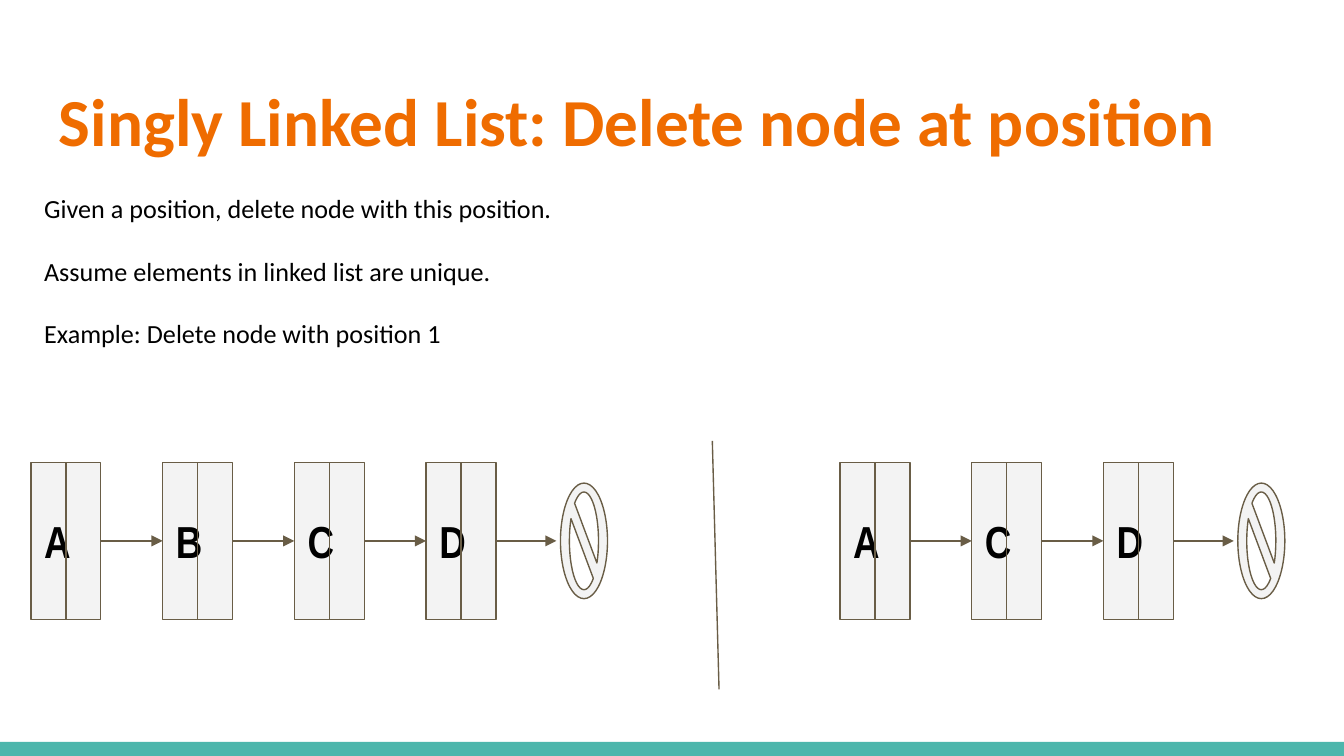
from lxml import etree
from pptx import Presentation
from pptx.dml.color import RGBColor
from pptx.enum.shapes import MSO_CONNECTOR as Connector, MSO_SHAPE as Shape
from pptx.enum.text import MSO_ANCHOR as Anchor, PP_ALIGN as Align
from pptx.oxml.ns import qn
from pptx.util import Inches, Pt

TITLE = "Singly Linked List: Delete node at position"
BODY = [
    "Given a position, delete node with this position.",
    "Assume elements in linked list are unique.",
    "Example: Delete node with position 1",
]
LISTS = [(0.23, "ABCD"), (6.25, "ACD")]

TITLE_FONT = {"name": "Calibri", "size": Pt(36), "bold": True}
BODY_FONT = {"name": "Calibri", "size": Pt(14)}
NODE_FONT = {"name": "Arial Narrow", "size": Pt(24), "bold": True}
MARGINS = {f"margin_{side}": Inches(0.1) for side in ("left", "top", "right", "bottom")}

ORANGE, BLACK, GRAY, BROWN, TEAL = "EF6C00", "000000", "F3F3F3", "695D46", "4DB6AC"
SLIDE_WIDTH = 10
SLIDE_HEIGHT = SLIDE_WIDTH * 9 / 16
NODE_TOP, NODE_WIDTH, NODE_HEIGHT, PITCH = 3.44, 0.52, 1.17, 0.98
NULL_WIDTH, NULL_HEIGHT, NULL_GAP = 0.35, 0.86, 0.02
MIDDLE = NODE_TOP + NODE_HEIGHT / 2


def set_all(target, values):
    for name, value in values.items():
        setattr(target, name, value)


def color(value):
    return RGBColor.from_string(value)


def write(shape, lines, font, text_color, anchor, gap=0):
    frame = shape.text_frame
    set_all(frame, MARGINS | {"word_wrap": True, "vertical_anchor": anchor})
    for index, line in enumerate(lines):
        paragraph = frame.add_paragraph() if index else frame.paragraphs[0]
        paragraph.alignment = Align.LEFT
        paragraph.space_before = Pt(gap if index else 0)
        run = paragraph.add_run()
        run.text = line
        set_all(run.font, font)
        run.font.color.rgb = color(text_color)


def add_text(slide, box, *text):
    write(slide.shapes.add_textbox(*map(Inches, box)), *text)


def add_shape(slide, kind, box, fill, line=None):
    shape = slide.shapes.add_shape(kind, *map(Inches, box))
    shape.shadow.inherit = False
    shape.fill.solid()
    shape.fill.fore_color.rgb = color(fill)
    if line:
        shape.line.color.rgb = color(line)
        shape.line.width = Pt(0.75)
    else:
        shape.line.fill.background()
    return shape


def add_line(slide, start, end, arrow=False):
    line = slide.shapes.add_connector(Connector.STRAIGHT, *map(Inches, start + end))
    line.line.color.rgb = color(BROWN)
    line.line.width = Pt(0.75)
    if arrow:
        outline = line._element.spPr.find(qn("a:ln"))
        etree.SubElement(outline, qn("a:tailEnd"), type="triangle")
    etree.SubElement(line._element.spPr, qn("a:effectLst"))
    return line


def add_node(slide, left, letter):
    box = (left, NODE_TOP, NODE_WIDTH, NODE_HEIGHT)
    node = add_shape(slide, Shape.RECTANGLE, box, GRAY, BROWN)
    write(node, [letter], NODE_FONT, BLACK, Anchor.MIDDLE)
    center = left + NODE_WIDTH / 2
    split = add_line(slide, (center, NODE_TOP), (center, NODE_TOP + NODE_HEIGHT))
    split.begin_connect(node, 0)
    split.end_connect(node, 2)
    return node


def add_linked_list(slide, left, letters):
    lefts = [left + index * PITCH for index in range(len(letters) + 1)]
    nodes = [add_node(slide, x, letter) for x, letter in zip(lefts, letters)]
    for index, node in enumerate(nodes):
        start = (lefts[index] + NODE_WIDTH, MIDDLE)
        arrow = add_line(slide, start, (lefts[index + 1] - 0.01, MIDDLE), arrow=True)
        arrow.begin_connect(node, 3)
        if index + 1 < len(nodes):
            arrow.end_connect(nodes[index + 1], 1)
    box = (lefts[-1] + NULL_GAP, MIDDLE - NULL_HEIGHT / 2, NULL_WIDTH, NULL_HEIGHT)
    null = add_shape(slide, Shape.NO_SYMBOL, box, GRAY, BROWN)
    null.adjustments[0] = 0.19


def main():
    presentation = Presentation()
    size = {"slide_width": Inches(SLIDE_WIDTH), "slide_height": Inches(SLIDE_HEIGHT)}
    set_all(presentation, size)
    slide = presentation.slides.add_slide(presentation.slide_layouts[6])
    add_shape(slide, Shape.RECTANGLE, (0, 5.52, SLIDE_WIDTH, 0.11), TEAL)
    add_text(slide, (0.34, 0.49, 9.32, 0.77), [TITLE], TITLE_FONT, ORANGE, Anchor.TOP)
    add_text(slide, (0.23, 1.33, 5.51, 1.58), BODY, BODY_FONT, BLACK, Anchor.TOP, 16.8)
    for left, letters in LISTS:
        add_linked_list(slide, left, letters)
    add_line(slide, (5.3, 3.28), (5.35, 5.13))
    presentation.save("out.pptx")


if __name__ == "__main__":
    main()
